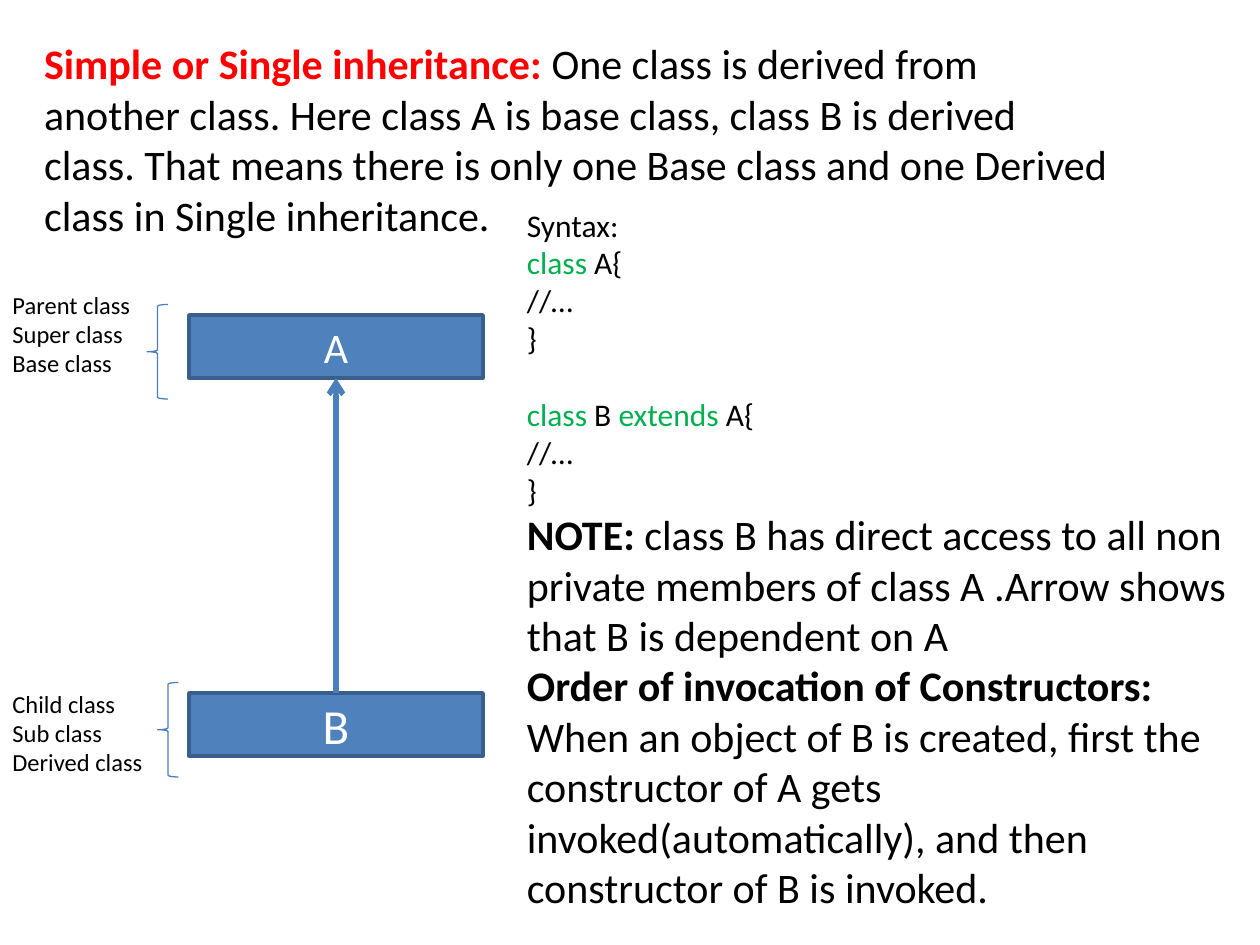
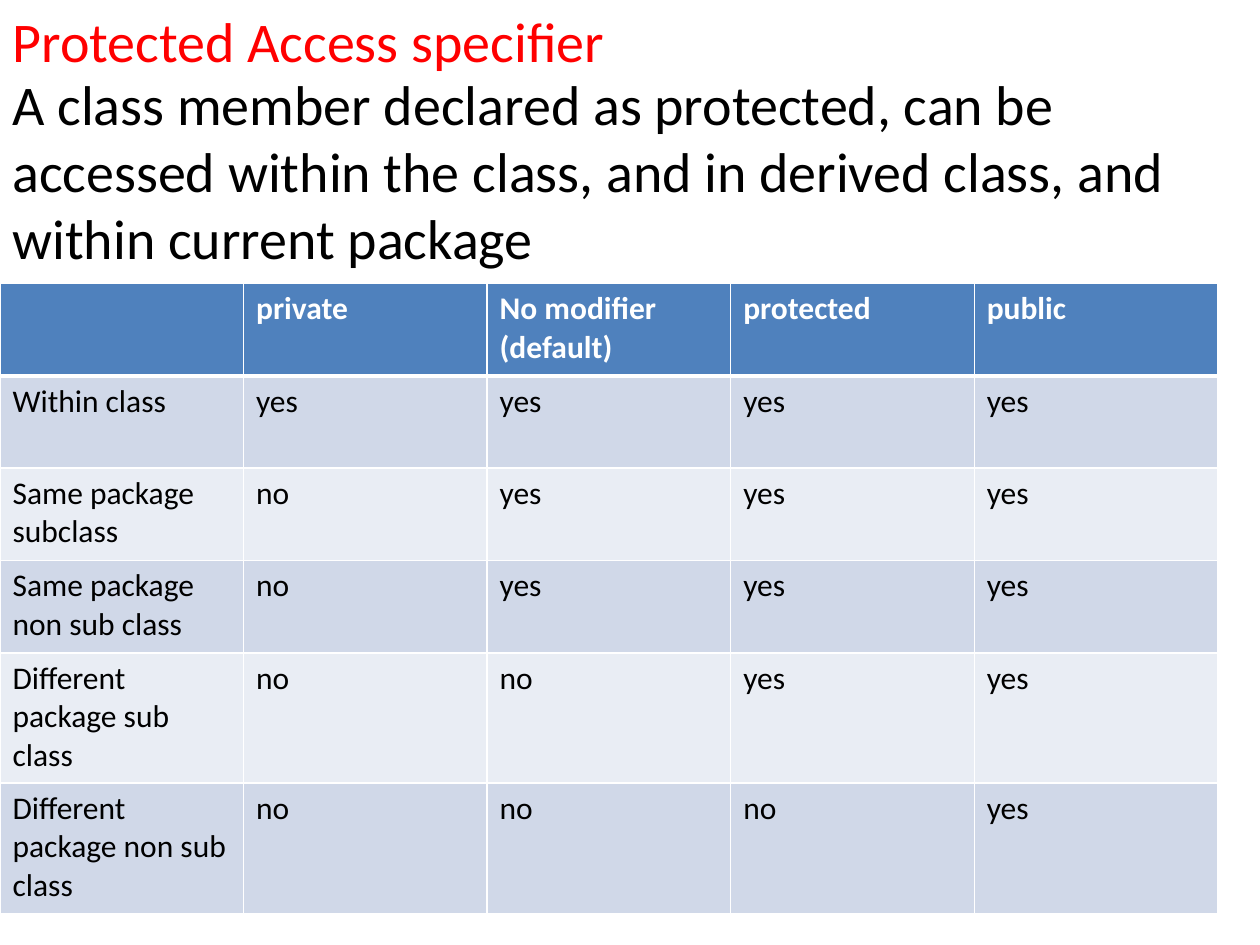
from lxml import etree
from pptx import Presentation
from pptx.dml.color import RGBColor
from pptx.enum import shapes as kinds, text as modes
from pptx.oxml import parse_xml
from pptx.oxml.ns import nsdecls, qn
from pptx.util import Pt

FONT = "Calibri"
BLACK, WHITE, RED, GREEN = "000000", "FFFFFF", "FF0000", "00B050"
BLUE, EDGE, LINE = "4F81BD", "3A5F8C", "4B7EBC"
BANDS = ("D0D8E8", "E9EDF4")
LEFT, CENTER = modes.PP_ALIGN.LEFT, modes.PP_ALIGN.CENTER
TOP, MIDDLE = modes.MSO_ANCHOR.TOP, modes.MSO_ANCHOR.MIDDLE

SYNTAX = [
    [("Syntax:", BLACK)],
    [("class", GREEN), (" A{", BLACK)],
    [("//…", BLACK)],
    [("}", BLACK)],
    [("class", GREEN), (" B ", BLACK), ("extends", GREEN), (" A{", BLACK)],
    [("//…", BLACK)],
    [("}", BLACK)],
]
NOTES = [
    [("NOTE: ", BLACK, True),
     ("class B has direct access to all non private members of class A "
      ".Arrow shows that B is dependent on A", BLACK)],
    [("Order of invocation of Constructors:", BLACK, True)],
    [("When an object of B is created, first the constructor of A gets "
      "invoked(automatically), and then constructor of B is invoked.", BLACK)],
]
ACCESS = [
    ["", "private", "No modifier\n(default)", "protected", "public"],
    ["Within class", "yes", "yes", "yes", "yes"],
    ["Same package subclass", "no", "yes", "yes", "yes"],
    ["Same package non sub class", "no", "yes", "yes", "yes"],
    ["Different package sub class", "no", "no", "yes", "yes"],
    ["Different package non sub class", "no", "no", "no", "yes"],
]


def color(code):
    return RGBColor.from_string(code)


def write(frame, paras, size, align=LEFT):
    """Append paragraphs, each a list of (text, colour[, bold]) runs."""
    for runs in paras:
        para = frame.paragraphs[0]
        if para.runs:
            para = frame.add_paragraph()
        para.alignment = align
        for words, code, *bold in runs:
            run = para.add_run()
            run.text = words
            font = run.font
            font.name, font.size, font.bold = FONT, Pt(size), bool(bold)
            font.color.rgb = color(code)


def plain(lines, code=BLACK, *bold):
    return [[(line, code, *bold)] for line in lines]


def place(shape, box):
    shape.left, shape.top, shape.width, shape.height = map(Pt, box)


def add_title(slide, box, runs, size):
    title = slide.shapes.title
    place(title, box)
    frame = title.text_frame
    frame.word_wrap, frame.vertical_anchor = True, TOP
    frame.auto_size = modes.MSO_AUTO_SIZE.NONE
    write(frame, [runs], size)


def add_text(slide, box, paras, size):
    frame = slide.shapes.add_textbox(*map(Pt, box)).text_frame
    frame.word_wrap = True
    write(frame, paras, size)
    return frame


def add_shape(slide, kind, box, fill, line, width):
    shape = slide.shapes.add_shape(kind, *map(Pt, box))
    shape.shadow.inherit = False
    if fill:
        shape.fill.solid()
        shape.fill.fore_color.rgb = color(fill)
    else:
        shape.fill.background()
    shape.line.color.rgb = color(line)
    shape.line.width = Pt(width)
    return shape


def add_class(slide, box, name, size):
    shape = add_shape(slide, kinds.MSO_SHAPE.RECTANGLE, box, BLUE, EDGE, 2)
    shape.text_frame.vertical_anchor = MIDDLE
    write(shape.text_frame, plain([name], WHITE), size, CENTER)
    return shape


def add_arrow(slide, child, parent):
    link = slide.shapes.add_connector(kinds.MSO_CONNECTOR.STRAIGHT, 0, 0, 0, 0)
    link.begin_connect(child, 0)
    link.end_connect(parent, 2)
    link.line.color.rgb = color(LINE)
    link.line.width = Pt(3)
    etree.SubElement(link.line._get_or_add_ln(), qn("a:tailEnd"), type="arrow")
    etree.SubElement(link._element.spPr, qn("a:effectLst"))


def add_names(slide, top, brace, names):
    """List the names of a class, closed by a brace at (x, y)."""
    add_shape(slide, kinds.MSO_SHAPE.LEFT_BRACE, (*brace, 12, 54),
              None, LINE, 0.75)
    add_text(slide, (0, top, 90, 58), plain(names), 14)


def add_tree(slide, box):
    """Draw parent and child boxes at the ends of the box, with their names."""
    left, top, width, height = box
    low = top + height - 36
    parent = add_class(slide, (left, top, width, 36), "A", 24)
    child = add_class(slide, (left, low, width, 36), "B", 28)
    add_arrow(slide, child, parent)
    add_names(slide, top - 18, (left - 24, top - 6),
              ["Parent class", "Super class", "Base class"])
    add_names(slide, low - 6, (left - 18, low - 6),
              ["Child class", "Sub class", "Derived class"])


def add_border(cell, sides):
    props = cell._tc.get_or_add_tcPr()
    for side, width in sides.items():
        props.append(parse_xml(
            f'<a:ln{side} {nsdecls("a")} w="{Pt(width)}"><a:solidFill>'
            f'<a:srgbClr val="{WHITE}"/></a:solidFill></a:ln{side}>'))


def add_grid(slide, box, rows, heights):
    grid = slide.shapes.add_table(len(rows), len(rows[0]), *map(Pt, box)).table
    for col in grid.columns:
        col.width = Pt(box[2] / len(rows[0]))
    for r, (row, height) in enumerate(zip(rows, heights)):
        grid.rows[r].height = Pt(height)
        head = r == 0
        for c, words in enumerate(row):
            cell = grid.cell(r, c)
            add_border(cell, {"L": 1, "R": 1, "T": 3 if r == 1 else 1,
                              "B": 3 if head else 1})
            cell.fill.solid()
            cell.fill.fore_color.rgb = color(BLUE if head else BANDS[(r - 1) % 2])
            if words:
                style = (WHITE, True) if head else (BLACK,)
                write(cell.text_frame, plain(words.split("\n"), *style), 18)


def build_single(slide):
    add_title(slide, (18, 18, 624, 124), [
        ("Simple or Single inheritance: ", RED, True),
        ("One class is derived from another class. Here class A is base "
         "class, class B is derived class. That means there is only one Base "
         "class and one Derived class in Single inheritance.", BLACK)], 24)
    add_tree(slide, (108, 180, 168, 252))
    frame = add_text(slide, (294, 114, 426, 415), SYNTAX, 18)
    frame.paragraphs[4].space_before = Pt(22)
    write(frame, NOTES, 24)


def build_access(slide):
    add_title(slide, (0, 0, 624, 46), [("Protected Access specifier", RED)], 32)
    add_text(slide, (0, 36, 720, 124), plain([
        "A class member declared as protected, can be accessed within the "
        "class, and in derived class, and within current package"]), 32)
    add_grid(slide, (0, 162, 696, 360), ACCESS, [52.8] * 4 + [74.4] * 2)


def main():
    deck = Presentation()
    deck.slide_width, deck.slide_height = Pt(720), Pt(540)
    for build in (build_single, build_access):
        build(deck.slides.add_slide(deck.slide_layouts[5]))
    deck.save("out.pptx")


if __name__ == "__main__":
    main()
